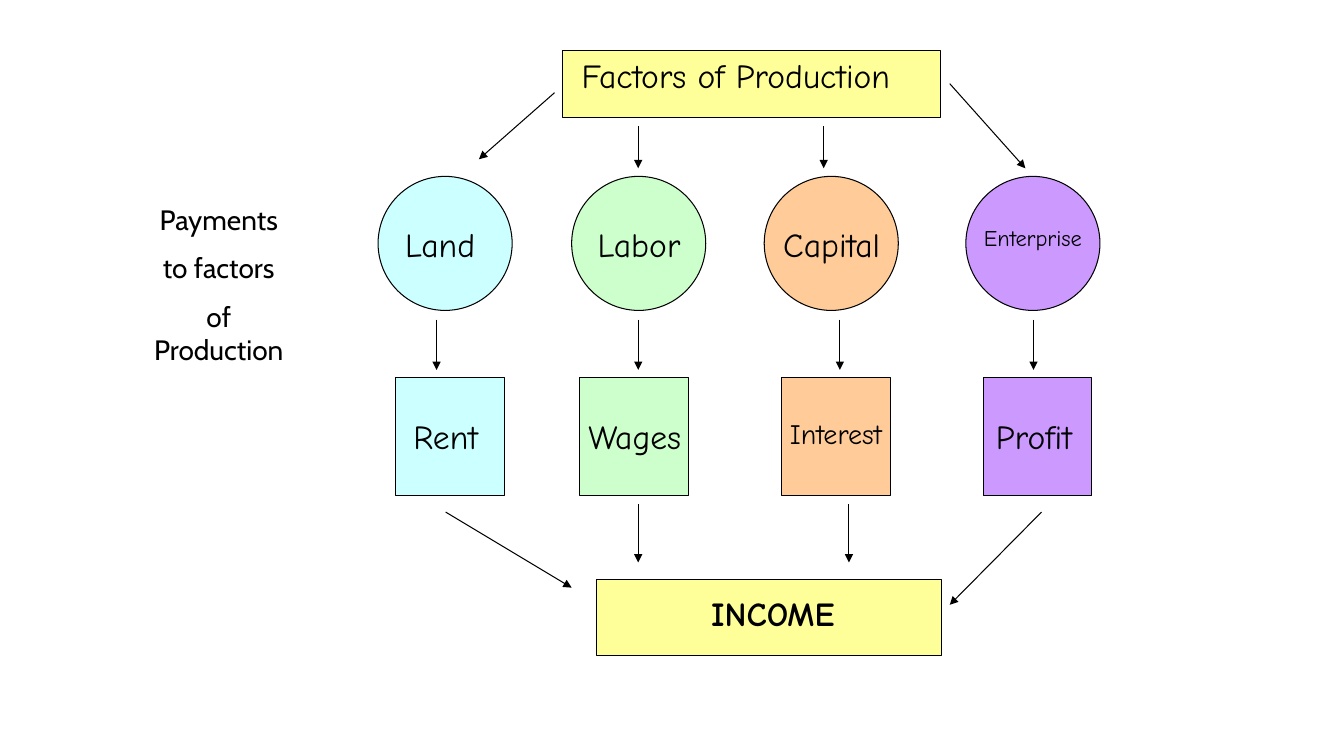
from dataclasses import dataclass

from lxml.etree import SubElement
from pptx import Presentation
from pptx.dml.color import RGBColor
from pptx.enum.shapes import MSO_CONNECTOR as Connector, MSO_SHAPE as Shape
from pptx.enum.text import MSO_ANCHOR as Anchor, PP_ALIGN as Align
from pptx.oxml.ns import qn
from pptx.util import Inches, Pt


@dataclass(frozen=True)
class Theme:
    """Colours, fonts and type sizes of the diagram."""
    ink: str = "000000"
    yellow: str = "FFFF99"
    aqua: str = "CCFFFF"
    green: str = "CCFFCC"
    orange: str = "FFCC99"
    purple: str = "CC99FF"
    diagram_font: str = "Comic Neue"
    note_font: str = "Cabin"
    large: int = 24
    medium: int = 20
    small: int = 16
    paragraph_gap: float = 10.5
    line_width: float = 0.75


THEME = Theme()
INK = RGBColor.from_string(THEME.ink)

FACTORS = [
    ("Land", THEME.aqua, 3.75, (3.92, 1), THEME.large, Align.LEFT),
    ("Labor", THEME.green, 5.67, (5.83, 1.17), THEME.large, Align.LEFT),
    ("Capital", THEME.orange, 7.58, (7.67, 1.33), THEME.large, Align.LEFT),
    ("Enterprise", THEME.purple, 9.58, (9.58, 1.33), THEME.small, Align.CENTER),
]
PAYMENTS = [
    ("Rent", THEME.aqua, 3.92, (3.92, 1), THEME.large),
    ("Wages", THEME.green, 5.75, (5.67, 1.25), THEME.large),
    ("Interest", THEME.orange, 7.75, (7.58, 1.42), THEME.medium),
    ("Profit", THEME.purple, 9.75, (9.67, 1.17), THEME.large),
]
SLANTED_ARROWS = [
    (5.5, 0.92, 4.75, 1.58),
    (9.42, 0.83, 10.17, 1.67),
    (4.42, 5.08, 5.67, 5.83),
    (10.33, 5.08, 9.42, 6),
]
VERTICAL_ARROWS = [
    (1.25, 1.67, (6.33, 8.17)),
    (3.17, 3.67, (4.33, 6.33, 8.33, 10.25)),
    (5, 5.58, (6.33, 8.42)),
]


def add_node(slide, kind, color, left, top, width, height):
    """Draw a filled, outlined shape."""
    shape = slide.shapes.add_shape(
        kind, Inches(left), Inches(top), Inches(width), Inches(height))
    shape.shadow.inherit = False
    shape.fill.solid()
    shape.fill.fore_color.rgb = RGBColor.from_string(color)
    shape.line.color.rgb = INK
    shape.line.width = Pt(THEME.line_width)


def add_label(slide, lines, left, top, width, height, size=THEME.large,
              align=Align.CENTER, font=THEME.diagram_font, bold=False):
    """Place a text box with one paragraph for each line."""
    box = slide.shapes.add_textbox(
        Inches(left), Inches(top), Inches(width), Inches(height))
    frame = box.text_frame
    frame.word_wrap = True
    frame.vertical_anchor = Anchor.TOP
    for index, line in enumerate(lines):
        paragraph = frame.add_paragraph() if index else frame.paragraphs[0]
        paragraph.alignment = align
        if index:
            paragraph.space_before = Pt(THEME.paragraph_gap)
        run = paragraph.add_run()
        run.text = line
        run.font.name = font
        run.font.size = Pt(size)
        run.font.bold = bold
        run.font.color.rgb = INK


def add_arrow(slide, start_x, start_y, end_x, end_y):
    """Draw a straight arrow with a triangular head at its end."""
    arrow = slide.shapes.add_connector(
        Connector.STRAIGHT, Inches(start_x), Inches(start_y),
        Inches(end_x), Inches(end_y))
    arrow.line.color.rgb = INK
    arrow.line.width = Pt(THEME.line_width)
    SubElement(arrow.line._get_or_add_ln(), qn("a:tailEnd"), type="triangle")
    SubElement(arrow._element.spPr, qn("a:effectLst"))


def main():
    """Build the factors of production slide."""
    presentation = Presentation()
    presentation.slide_width = Inches(13.33)
    presentation.slide_height = Inches(7.5)
    slide = presentation.slides.add_slide(presentation.slide_layouts[6])

    add_node(slide, Shape.RECTANGLE, THEME.yellow, 5.58, 0.5, 3.75, 0.67)
    add_label(slide, ["Factors of Production"], 5.67, 0.5, 3.83, 0.5,
              align=Align.LEFT)
    for name, color, left, (text_left, text_width), size, align in FACTORS:
        add_node(slide, Shape.OVAL, color, left, 1.75, 1.33, 1.33)
        add_label(slide, [name], text_left, 2.17, text_width, 0.5, size, align)
    for name, color, left, (text_left, text_width), size in PAYMENTS:
        add_node(slide, Shape.RECTANGLE, color, left, 3.75, 1.08, 1.17)
        add_label(slide, [name], text_left, 4.08, text_width, 0.5, size)
    add_node(slide, Shape.RECTANGLE, THEME.yellow, 5.92, 5.75, 3.42, 0.75)
    add_label(slide, ["INCOME"], 6, 5.83, 3.33, 0.5, bold=True)

    for ends in SLANTED_ARROWS:
        add_arrow(slide, *ends)
    for top, bottom, columns in VERTICAL_ARROWS:
        for x in columns:
            add_arrow(slide, x, top, x, bottom)

    add_label(slide, ["Payments", "to factors", "of Production"],
              1.42, 1.96, 1.5, 2.12, THEME.medium, font=THEME.note_font)
    presentation.save("out.pptx")


if __name__ == "__main__":
    main()
